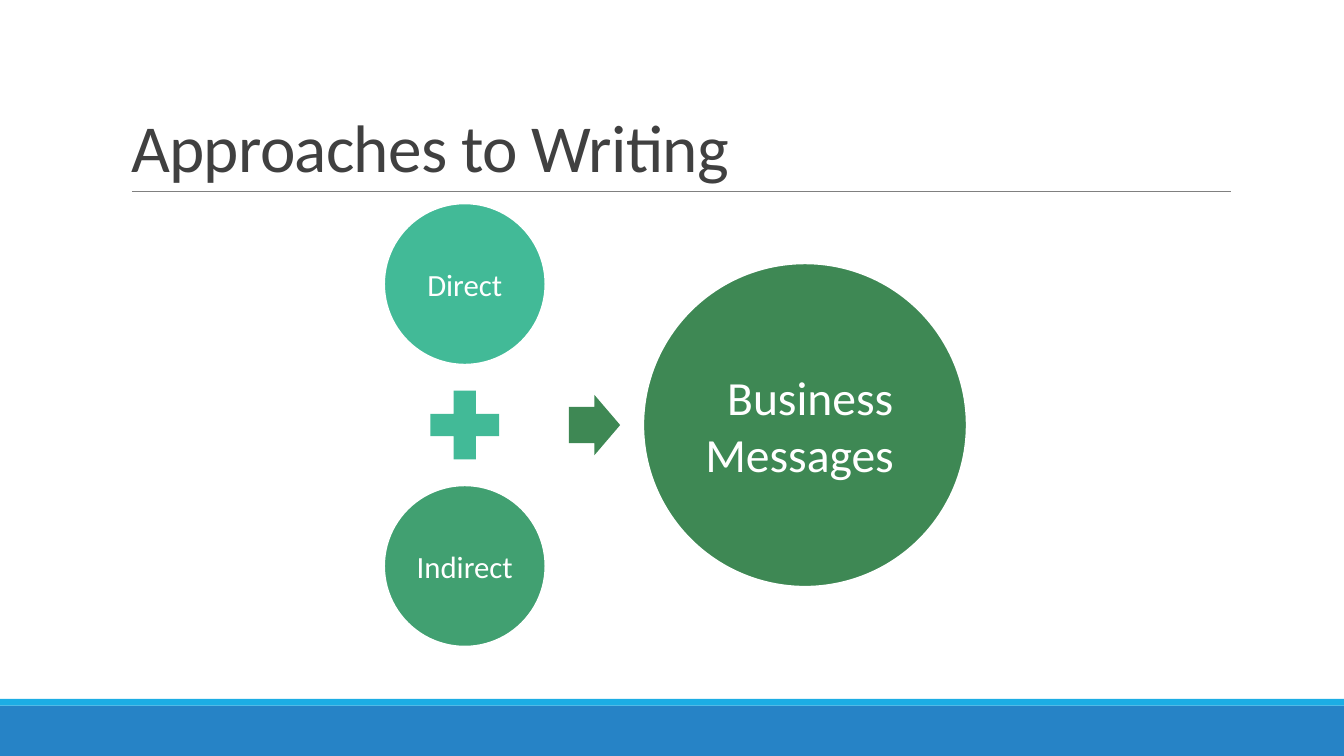
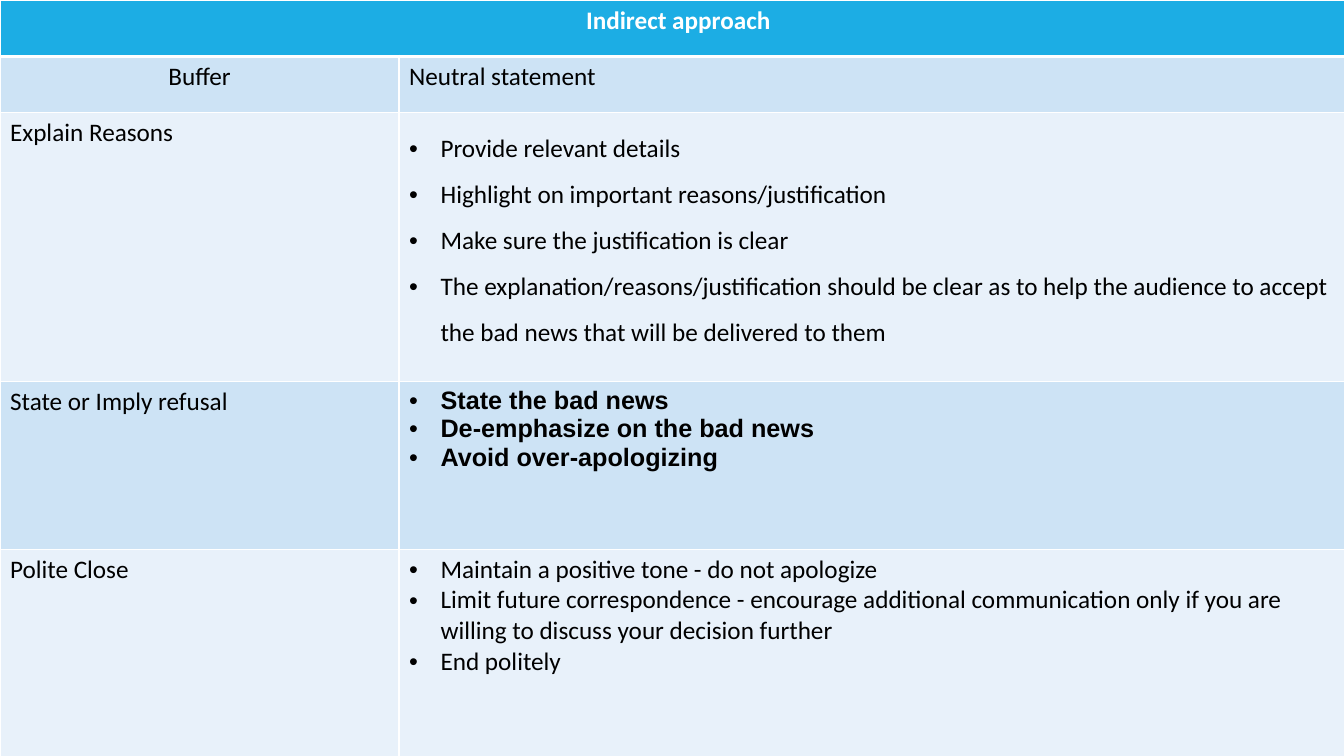
from lxml import etree
from pptx import Presentation
from pptx.dml.color import RGBColor
from pptx.enum.shapes import MSO_CONNECTOR, MSO_SHAPE
from pptx.enum.text import MSO_ANCHOR, MSO_AUTO_SIZE, PP_ALIGN
from pptx.oxml.ns import qn
from pptx.util import Pt

RECTANGLE, ELLIPSE = MSO_SHAPE.RECTANGLE, MSO_SHAPE.OVAL
PLUS, ARROW = MSO_SHAPE.MATH_PLUS, MSO_SHAPE.RIGHT_ARROW
STRAIGHT = MSO_CONNECTOR.STRAIGHT
LEFT, CENTER = PP_ALIGN.LEFT, PP_ALIGN.CENTER
MIDDLE, BOTTOM = MSO_ANCHOR.MIDDLE, MSO_ANCHOR.BOTTOM
NO_AUTOFIT = MSO_AUTO_SIZE.NONE

PAGE_WIDTH, PAGE_HEIGHT = 960, 540
TITLE_ONLY, BLANK = 5, 6
WHITE, BLACK = "FFFFFF", "000000"
SKY, BLUE, GRAY, CHARCOAL = "1CADE4", "2683C6", "808080", "404040"
TEAL, JADE, GREEN = "42BA97", "41A071", "3E8854"
ROW_TINTS = ("CDE3F5", "E8F1FA")


def color(value):
    return RGBColor.from_string(value)


def apply(target, values):
    for name, value in values.items():
        setattr(target, name, value)


class Deck:
    """Holds the shared style and the page being drawn."""

    def __init__(self):
        self.presentation = Presentation()
        self.presentation.slide_width = Pt(PAGE_WIDTH)
        self.presentation.slide_height = Pt(PAGE_HEIGHT)
        self.page = None

    def add_page(self, layout):
        self.page = self.presentation.slides.add_slide(
            self.presentation.slide_layouts[layout])

    def frame(self):
        """Draw the footer bands and title rule, then move them to the master."""
        parts = [
            self.shape(RECTANGLE, 480, 522, PAGE_WIDTH, 36, BLUE),
            self.shape(RECTANGLE, 480, 501.6, PAGE_WIDTH, 4.8, SKY),
            self.rule(94.3, 136.8, 879.1),
        ]
        tree = self.presentation.slide_master.shapes.element
        for position, part in enumerate(parts, start=2):
            tree.insert(position, part.element)

    def span(self, para, text, size, ink, font="Calibri", bold=False):
        span = para.add_run()
        span.text = text
        apply(span.font, {"name": font, "size": Pt(size), "bold": bold})
        span.font.color.rgb = color(ink)
        return span

    def title(self, text):
        box = self.page.shapes.title
        apply(box, {"left": Pt(86.4), "top": Pt(22.6),
                    "width": Pt(792), "height": Pt(114.2)})
        apply(box.text_frame, {"vertical_anchor": BOTTOM, "word_wrap": True,
                               "auto_size": NO_AUTOFIT})
        para = box.text_frame.paragraphs[0]
        apply(para, {"alignment": LEFT, "line_spacing": 0.85})
        span = self.span(para, text, 48, CHARCOAL)
        span._r.get_or_add_rPr().set("spc", "-50")

    def shape(self, kind, center_x, center_y, width, height, fill):
        shape = self.page.shapes.add_shape(
            kind, Pt(center_x - width / 2), Pt(center_y - height / 2),
            Pt(width), Pt(height))
        shape.shadow.inherit = False
        shape.fill.solid()
        shape.fill.fore_color.rgb = color(fill)
        shape.line.fill.background()
        return shape

    def circle(self, text, center_x, center_y, diameter, fill, size, inset):
        circle = self.shape(ELLIPSE, center_x, center_y, diameter, diameter, fill)
        circle.line.color.rgb = color(WHITE)
        circle.line.width = Pt(1.25)
        sides = ("margin_left", "margin_top", "margin_right", "margin_bottom")
        apply(circle.text_frame, dict.fromkeys(sides, Pt(inset)))
        apply(circle.text_frame, {"word_wrap": True, "vertical_anchor": MIDDLE})
        para = circle.text_frame.paragraphs[0]
        para.alignment = CENTER
        self.span(para, text, size, WHITE)

    def rule(self, left, top, right):
        line = self.page.shapes.add_connector(
            STRAIGHT, Pt(left), Pt(top), Pt(right), Pt(top))
        line.line.color.rgb = color(GRAY)
        line.line.width = Pt(0.5)
        etree.SubElement(line.element.spPr, qn("a:effectLst"))
        return line

    def table(self, widths, heights):
        table = self.page.shapes.add_table(
            len(heights), len(widths), Pt(0), Pt(0),
            Pt(sum(widths)), Pt(sum(heights))).table
        apply(table, {"first_row": False, "horz_banding": False})
        for column, width in zip(table.columns, widths):
            column.width = Pt(width)
        for row, height in zip(table.rows, heights):
            row.height = Pt(height)
        return table

    def cell(self, cell, fill, top=1, bottom=1):
        """Give a cell white borders of the given widths and a fill."""
        properties = cell._tc.get_or_add_tcPr()
        for side, width in zip("LRTB", (1, 1, top, bottom)):
            line = etree.SubElement(properties, qn(f"a:ln{side}"), w=str(Pt(width)))
            solid = etree.SubElement(line, qn("a:solidFill"))
            etree.SubElement(solid, qn("a:srgbClr"), val=WHITE)
        cell.fill.solid()
        cell.fill.fore_color.rgb = color(fill)

    def cell_text(self, cell, lines, ink=BLACK, bulleted=False, align=LEFT,
                  spacing=1.0, **style):
        for number, text in enumerate(lines):
            frame = cell.text_frame
            para = frame.add_paragraph() if number else frame.paragraphs[0]
            if bulleted:
                self.bullet(para)
            apply(para, {"alignment": align, "line_spacing": spacing})
            self.span(para, text, 18, ink, **style)

    def bullet(self, para):
        properties = para._p.get_or_add_pPr()
        properties.set("marL", str(Pt(22.5)))
        properties.set("indent", str(-Pt(22.5)))
        etree.SubElement(properties, qn("a:buFont"), typeface="Arial")
        etree.SubElement(properties, qn("a:buChar"), char="•")


def approaches(deck):
    deck.add_page(TITLE_ONLY)
    deck.frame()
    deck.title("Approaches to Writing")
    inputs_x, middle_y, step = 332, 303.6, 100.7
    deck.circle("Direct", inputs_x, middle_y - step, 115.2, TEAL, 22, 2)
    deck.shape(PLUS, inputs_x, middle_y, 67, 67, TEAL)
    deck.circle("Indirect", inputs_x, middle_y + step, 115.2, JADE, 22, 2)
    arrow = deck.shape(ARROW, 424.6, middle_y, 36.7, 43, GREEN)
    arrow.adjustments[0] = 0.6
    deck.circle(" Business Messages ", 575, middle_y, 231, GREEN, 34, 3.6)


def indirect_approach(deck):
    deck.add_page(BLANK)
    rows = [
        ("Buffer", ["Neutral statement"], {}),
        ("Explain Reasons", [
            "Provide relevant details",
            "Highlight on important reasons/justification",
            "Make sure the justification is clear",
            "The explanation/reasons/justification should be clear as to help "
            "the audience to accept the bad news that will be delivered to them",
        ], {"bulleted": True, "spacing": 1.5}),
        ("State or Imply refusal", [
            "State the bad news",
            "De-emphasize on the bad news",
            "Avoid over-apologizing",
        ], {"bulleted": True, "font": "Arial", "bold": True}),
        ("Polite Close", [
            "Maintain a positive tone - do not apologize",
            "Limit future correspondence - encourage additional communication "
            "only if you are willing to discuss your decision further",
            "End politely",
        ], {"bulleted": True}),
    ]
    table = deck.table((285, 684), (40.3, 40.3, 192.2, 119.5, 150.5))
    header = table.cell(0, 0)
    header.merge(table.cell(0, 1))
    for column in range(2):
        deck.cell(table.cell(0, column), SKY, bottom=3)
    deck.cell_text(header, ["Indirect approach"], WHITE, align=CENTER, bold=True)
    for number, (stage, points, style) in enumerate(rows, start=1):
        first = number == 1
        label, detail = table.cell(number, 0), table.cell(number, 1)
        for cell in (label, detail):
            deck.cell(cell, ROW_TINTS[(number - 1) % 2], top=3 if first else 1)
        deck.cell_text(label, [stage], align=CENTER if first else LEFT)
        deck.cell_text(detail, points, **style)


def main():
    deck = Deck()
    approaches(deck)
    indirect_approach(deck)
    deck.presentation.save("out.pptx")


if __name__ == "__main__":
    main()
